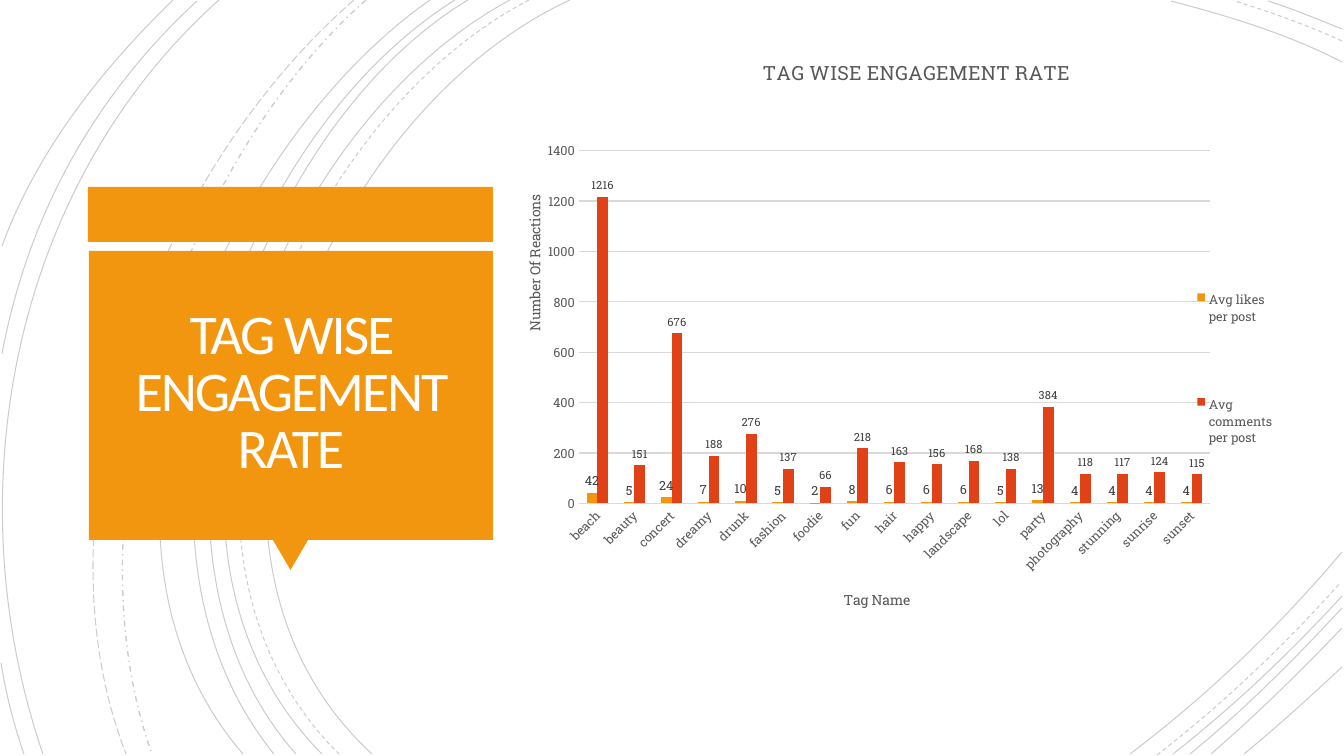
from lxml.etree import SubElement
from pptx import Presentation
from pptx.chart.data import CategoryChartData
from pptx.dml.color import RGBColor
from pptx.enum.chart import XL_CHART_TYPE, XL_LABEL_POSITION, XL_LEGEND_POSITION, XL_TICK_MARK
from pptx.enum.dml import MSO_LINE
from pptx.enum.shapes import MSO_SHAPE
from pptx.enum.text import MSO_ANCHOR, PP_ALIGN
from pptx.oxml import parse_xml
from pptx.oxml.ns import nsdecls, qn
from pptx.util import Pt

# Content
HEADING = "TAG WISE ENGAGEMENT RATE"
CATEGORY_TITLE, VALUE_TITLE = "Tag Name", "Number Of Reactions"
TAGS = [  # tag, average likes, average comments
    ("beach", 42, 1216), ("beauty", 5, 151), ("concert", 24, 676),
    ("dreamy", 7, 188), ("drunk", 10, 276), ("fashion", 5, 137),
    ("foodie", 2, 66), ("fun", 8, 218), ("hair", 6, 163),
    ("happy", 6, 156), ("landscape", 6, 168), ("lol", 5, 138),
    ("party", 13, 384), ("photography", 4, 118), ("stunning", 4, 117),
    ("sunrise", 4, 124), ("sunset", 4, 115),
]
SERIES = [("Avg likes per post", "F3960F", 9), ("Avg comments per post", "E04116", 8)]
ORANGE, WHITE, GREY, DARK = "F3960F", "FFFEFF", "595959", "404040"
HEADING_FONT, CHART_FONT = "Calibri", "Roboto Slab"

# Background arcs in px: start, two control points, end
ARCS = {
    MSO_LINE.SOLID: [
        [(570, 0), (318, 116), (144, 544), (372, 754)],
        [(1342, 62), (1288, 34), (1228, 16), (1171, 1)],
        [(1130, 754), (1207, 696), (1279, 627), (1342, 552)],
        [(510, 0), (272, 128), (111, 541), (322, 754)],
        [(1342, 29), (1317, 19), (1293, 9), (1268, 1)],
        [(1173, 754), (1233, 707), (1290, 653), (1342, 596)],
        [(468, 0), (246, 134), (111, 545), (296, 754)],
        [(1190, 754), (1244, 710), (1294, 660), (1342, 608)],
        [(455, 0), (233, 139), (98, 537), (274, 754)],
        [(1211, 754), (1256, 715), (1300, 672), (1342, 628)],
        [(430, 0), (219, 148), (53, 533), (243, 754)],
        [(1244, 754), (1277, 727), (1309, 698), (1342, 667)],
        [(219, 0), (11, 186), (-46, 494), (43, 754)],
        [(197, 1), (93, 97), (28, 216), (2, 354)],
        [(1, 663), (6, 694), (14, 725), (24, 754)],
        [(173, 0), (101, 70), (37, 151), (2, 246)],
    ],
    MSO_LINE.DASH: [
        [(529, 0), (287, 126), (124, 541), (339, 754)],
        [(1342, 41), (1307, 25), (1270, 12), (1235, 1)],
        [(1157, 755), (1223, 704), (1285, 645), (1341, 582)],
    ],
    MSO_LINE.DASH_DOT: [[(366, 0), (177, 167), (66, 513), (152, 754)]],
    MSO_LINE.LONG_DASH: [[(354, 0), (158, 170), (29, 503), (126, 754)]],
}
# Panel parts in px: preset, left, top, width, height, rotation
PANEL = [
    (MSO_SHAPE.RECTANGLE, 88, 187, 405, 55, 0),
    (MSO_SHAPE.ISOSCELES_TRIANGLE, 273, 540, 35, 30, 180),
    (MSO_SHAPE.RECTANGLE, 89, 251, 404, 289, 0),
]
HEADING_BOX = (98, 259, 386, 271)
CHART_BOX = (505, 33, 820, 692)
SCALE = 914400 / 100.8


def px(*lengths):
    return [round(length * SCALE) for length in lengths]


def color(value):
    return RGBColor.from_string(value)


def style(font, size, value, name=CHART_FONT):
    font.size, font.name, font.bold = Pt(size), name, False
    font.color.rgb = color(value)


def draw_arc(page, points, dash):
    builder = page.shapes.build_freeform(*points[0], scale=SCALE)
    builder.add_line_segments(points[1:], close=False)
    arc = builder.convert_to_shape()
    arc.shadow.inherit = False
    arc.fill.background()
    arc.line.color.rgb = color("000000")
    arc.line.width = Pt(1 if dash == MSO_LINE.DASH_DOT else 0.75)
    arc.line.dash_style = dash
    ink = next(arc._element.spPr.find(qn("a:ln")).iter(qn("a:srgbClr")))
    SubElement(ink, qn("a:alpha"), val="20000")
    # Turn the three control segments into one cubic curve
    outline = next(arc._element.iter(qn("a:path")))
    curve = SubElement(outline, qn("a:cubicBezTo"))
    for segment in outline.findall(qn("a:lnTo")):
        curve.append(segment[0])
        outline.remove(segment)


def place(element, left, top, width=None, height=None, target=None):
    """Give a chart part a manual layout, as fractions of the chart."""
    fractions = {"x": left, "y": top, "w": width, "h": height}
    inner = f'<c:layoutTarget val="{target}"/>' if target else ""
    inner += '<c:xMode val="edge"/><c:yMode val="edge"/>'
    inner += "".join(f'<c:{key} val="{value}"/>' for key, value in fractions.items() if value)
    layout = parse_xml(f'<c:layout {nsdecls("c")}><c:manualLayout>{inner}</c:manualLayout></c:layout>')
    for old in element.findall(qn("c:layout")):
        element.remove(old)
    before = [child for child in element if child.tag in (qn("c:tx"), qn("c:legendPos"))]
    element.insert(element.index(before[-1]) + 1 if before else 0, layout)


def set_title(owner, text, size, left, top):
    title = getattr(owner, "chart_title", None) or owner.axis_title
    title.text_frame.text = text
    style(title.text_frame.paragraphs[0].runs[0].font, size, GREY)
    place(title._element, left, top)


deck = Presentation()
deck.slide_width, deck.slide_height = px(1344, 756)
page = deck.slides.add_slide(deck.slide_layouts[6])

# Background arcs
for dash, group in ARCS.items():
    for points in group:
        draw_arc(page, points, dash)

# Orange panel
for preset, left, top, width, height, rotation in PANEL:
    part = page.shapes.add_shape(preset, *px(left, top, width, height))
    part.shadow.inherit = False
    part.fill.solid()
    part.fill.fore_color.rgb = color(ORANGE)
    part.line.fill.background()
    part.rotation = rotation

# Heading
box = page.shapes.add_textbox(*px(*HEADING_BOX))
frame = box.text_frame
frame.word_wrap = True
frame.vertical_anchor = MSO_ANCHOR.MIDDLE
frame.margin_left, frame.margin_top, frame.margin_right, frame.margin_bottom = px(25, 25, 25, 25)
frame.text = HEADING
para = frame.paragraphs[0]
para.alignment, para.line_spacing = PP_ALIGN.CENTER, 0.85
span = para.runs[0]
style(span.font, 40, WHITE, HEADING_FONT)
span.font._element.set("spc", "-150")

# Chart
names, *columns = zip(*TAGS)
data = CategoryChartData(number_format="0")
data.categories = names
for (label, _, _), values in zip(SERIES, columns):
    data.add_series(label, values)
chart = page.shapes.add_chart(XL_CHART_TYPE.COLUMN_CLUSTERED, *px(*CHART_BOX), data).chart
style(chart.font, 10, "000000")
set_title(chart, HEADING, 14, 0.31, 0.03)

plot = chart.plots[0]
plot.gap_width, plot.overlap, plot.vary_by_categories = 150, 0, False
place(chart._chartSpace.chart.plotArea, 0.09, 0.17, 0.77, 0.51, "inner")
for series, (_, fill, size) in zip(plot.series, SERIES):
    series.format.fill.solid()
    series.format.fill.fore_color.rgb = color(fill)
    labels = series.data_labels
    labels.show_value = True
    labels.number_format, labels.number_format_is_linked = "0", False
    labels.position = XL_LABEL_POSITION.OUTSIDE_END
    style(labels.font, size, DARK)

# Axes, with the value title clear of the tick labels
for axis in (chart.category_axis, chart.value_axis):
    axis.major_tick_mark = axis.minor_tick_mark = XL_TICK_MARK.NONE
    axis.format.line.fill.background()
    style(axis.tick_labels.font, 9, GREY)
set_title(chart.category_axis, CATEGORY_TITLE, 10, 0.41, 0.8)
set_title(chart.value_axis, VALUE_TITLE, 10, 0.02, 0.23)
chart.value_axis.axis_title.text_frame._txBody.bodyPr.set("rot", "-5400000")
chart.category_axis._element.txPr.bodyPr.set("rot", "-2700000")
chart.value_axis.minimum_scale, chart.value_axis.maximum_scale = 0, 1400
chart.value_axis.major_unit = 200
grid = chart.value_axis.major_gridlines.format.line
grid.color.rgb, grid.width = color("D9D9D9"), Pt(0.75)

# Legend
chart.has_legend = True
chart.legend.position = XL_LEGEND_POSITION.RIGHT
chart.legend.include_in_layout = False
style(chart.legend.font, 9, GREY)
place(chart.legend._element, 0.84, 0.27, 0.1, 0.43)

deck.save("out.pptx")
